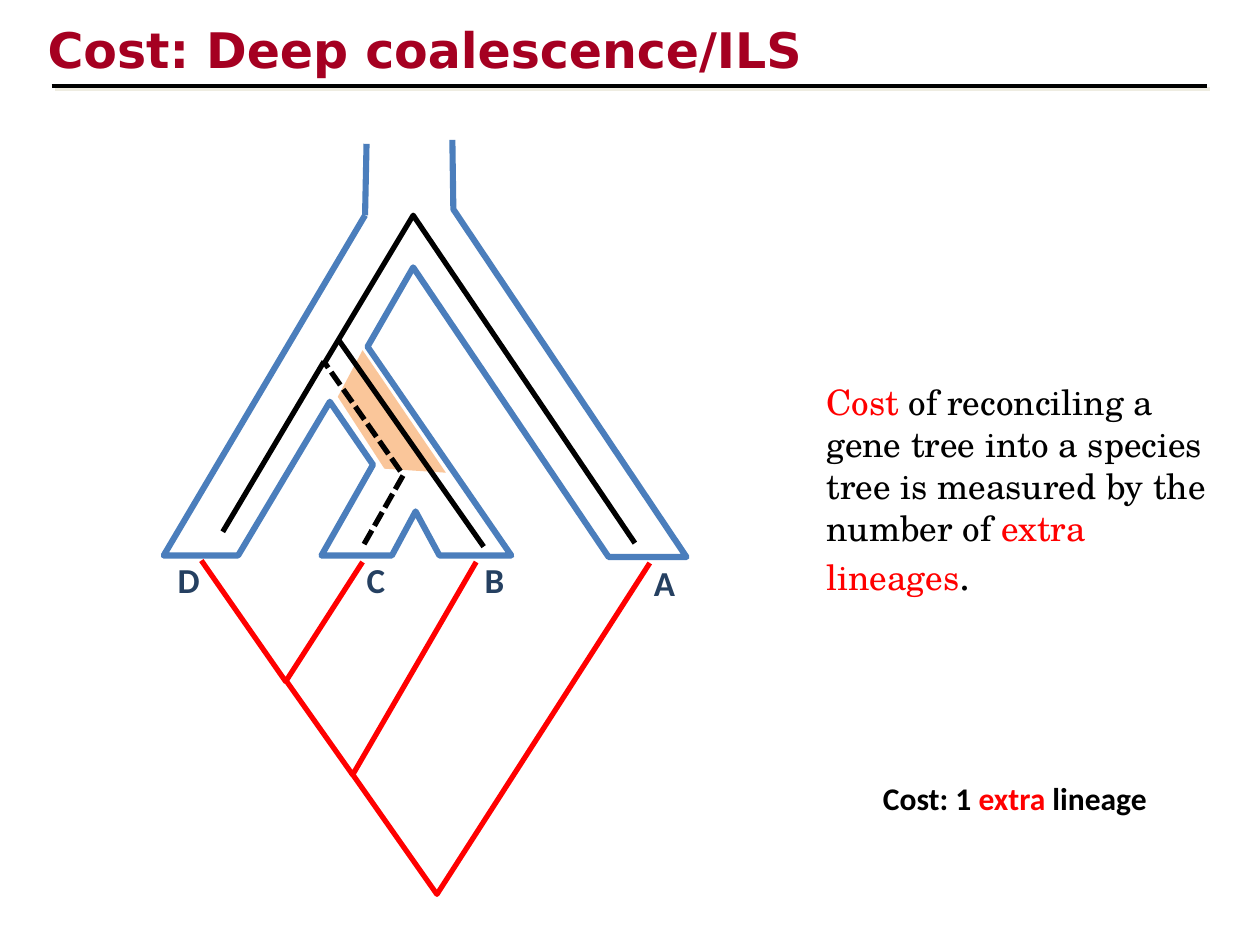
from lxml.etree import SubElement
from pptx import Presentation
from pptx.dml.color import RGBColor
from pptx.enum.dml import MSO_LINE
from pptx.enum.shapes import MSO_CONNECTOR
from pptx.enum.text import MSO_ANCHOR
from pptx.oxml.ns import qn
from pptx.util import Cm, Pt

BLACK = RGBColor(0, 0, 0)
RED = RGBColor(0xFF, 0, 0)
BLUE = RGBColor(0x4B, 0x7E, 0xBC)
NAVY = RGBColor(0x25, 0x40, 0x61)
ORANGE = RGBColor(0xFA, 0xC0, 0x90)
CRIMSON = RGBColor(0xA5, 0, 0x21)
CREAM = RGBColor(0xEE, 0xEC, 0xE1)


def add_shadow(effects):
    shadow = SubElement(effects, qn("a:outerShdw"), dist="35921", dir="2700000", algn="ctr")
    SubElement(shadow, qn("a:srgbClr"), val=str(CREAM))


def add_text(slide, box, runs, size=20, font="Calibri", bold=False,
             anchor=MSO_ANCHOR.TOP, shadow=False):
    frame = slide.shapes.add_textbox(*(Cm(length) for length in box)).text_frame
    frame.word_wrap = True
    frame.vertical_anchor = anchor
    for words, color, *special in runs:
        run = frame.paragraphs[0].add_run()
        run.text = words
        run.font.name, points = special or (font, size)
        run.font.size = Pt(points)
        run.font.bold = bold
        run.font.color.rgb = color
        if shadow:
            effects = SubElement(run.font._element, qn("a:effectLst"))
            run.font._element.find(qn("a:solidFill")).addnext(effects)
            add_shadow(effects)


def add_path(slide, box, points, color, width=3, dash=None, filled=False):
    left, top = box[:2]
    start, *rest = [(Cm(left + x), Cm(top + y)) for x, y in points]
    builder = slide.shapes.build_freeform(*start)
    builder.add_line_segments(rest, close=filled)
    path = builder.convert_to_shape()
    path.shadow.inherit = False
    if filled:
        path.fill.solid()
        path.fill.fore_color.rgb = color
        path.line.fill.background()
        return path
    path.fill.background()
    path.line.color.rgb = color
    path.line.width = Pt(width)
    if dash:
        path.line.dash_style = dash
    return path


def add_line(slide, box, start, end, width=3, shadow=False):
    left, top = box[:2]
    line = slide.shapes.add_connector(
        MSO_CONNECTOR.STRAIGHT, Cm(left + start[0]), Cm(top + start[1]),
        Cm(left + end[0]), Cm(top + end[1]))
    line.line.color.rgb = BLACK
    line.line.width = Pt(width)
    effects = SubElement(line._element.spPr, qn("a:effectLst"))
    if shadow:
        add_shadow(effects)


def add_header(slide, box):
    left, top, width, height = box
    add_text(slide, box, [("Cost: Deep coalescence/ILS", CRIMSON)], size=28,
             font="DejaVu Sans", bold=True, anchor=MSO_ANCHOR.MIDDLE, shadow=True)
    add_line(slide, box, (0.33, 1.6), (width, 1.6), width=2.25, shadow=True)


def add_species_tree(slide, box):
    extra_branch = add_path(
        slide, box, [(4.01, 4.24), (3.51, 5.18), (4.45, 6.63), (5.69, 6.71)],
        ORANGE, filled=True)
    color = extra_branch.fill._xPr.find(qn("a:solidFill"))[0]
    SubElement(color, qn("a:alpha"), val="90000")
    outline = [
        (4.06, 1.52), (0, 8.38), (1.5, 8.38), (3.35, 5.28), (4.22, 6.55),
        (3.18, 8.38), (4.6, 8.38), (5.08, 7.49), (5.56, 8.38), (7.01, 8.38),
        (4.11, 4.17), (5.03, 2.57), (8.97, 8.41), (10.54, 8.41),
        (5.84, 1.4), (5.82, 0)]
    add_path(slide, box, outline, BLUE, width=3.5)
    add_path(slide, box, [(4.06, 1.52), (4.09, 0.08)], BLUE, width=3.5)


def add_gene_tree(slide, box):
    for branch in (
        [(0, 0), (1.7, 2.44), (3.25, 0.03)],
        [(1.7, 2.41), (3.05, 4.32), (5.54, 0.03)],
        [(3.02, 4.27), (4.75, 6.73), (9.04, 0.05)],
    ):
        add_path(slide, box, branch, RED)


def add_species_labels(slide, box):
    left, top = box[:2]
    for species, x, y in (("D", 0.03, 8.31), ("C", 3.84, 8.31),
                          ("B", 6.22, 8.31), ("A", 9.63, 8.38)):
        add_text(slide, (left + x, top + y, 0.87, 1.12), [(species, NAVY)], bold=True)


def add_lineages(slide, box):
    add_line(slide, box, (3.51, 4.01), (6.45, 8.2))
    add_path(slide, box, [(4.04, 8.15), (4.83, 6.76), (3.23, 4.47)], BLACK,
             dash=MSO_LINE.SQUARE_DOT)
    add_line(slide, box, (3.23, 4.47), (1.19, 7.9))
    add_path(slide, box, [(3.23, 4.52), (5.03, 1.52), (9.5, 8.13)], BLACK)


def add_explanation(slide, box):
    left, top, width, height = box
    add_text(slide, (left, top, width, 3.84), [
        ("Cost", RED),
        (" of reconciling a gene tree into a species tree is measured by the number of ", BLACK),
        ("extra lineages", RED),
        (".", BLACK, "Times New Roman", 24),
    ], font="TeX Gyre Schola")
    add_text(slide, (left + 1.14, top + height - 1.02, 7.54, 1.02),
             [("Cost: 1 ", BLACK), ("extra ", RED), ("lineage", BLACK)],
             size=18, bold=True)


def main():
    presentation = Presentation()
    presentation.slide_width = Cm(25.4)
    presentation.slide_height = Cm(19.05)
    slide = presentation.slides.add_slide(presentation.slide_layouts[6])
    species_box = (3.3, 2.82, 10.54, 8.41)
    add_species_tree(slide, species_box)
    add_gene_tree(slide, (4.06, 11.3, 9.04, 6.73))
    add_species_labels(slide, species_box)
    add_lineages(slide, species_box)
    add_explanation(slide, (16.41, 7.54, 8.71, 9.05))
    add_header(slide, (0.71, 0.13, 23.62, 1.7))
    presentation.save("out.pptx")


if __name__ == "__main__":
    main()
